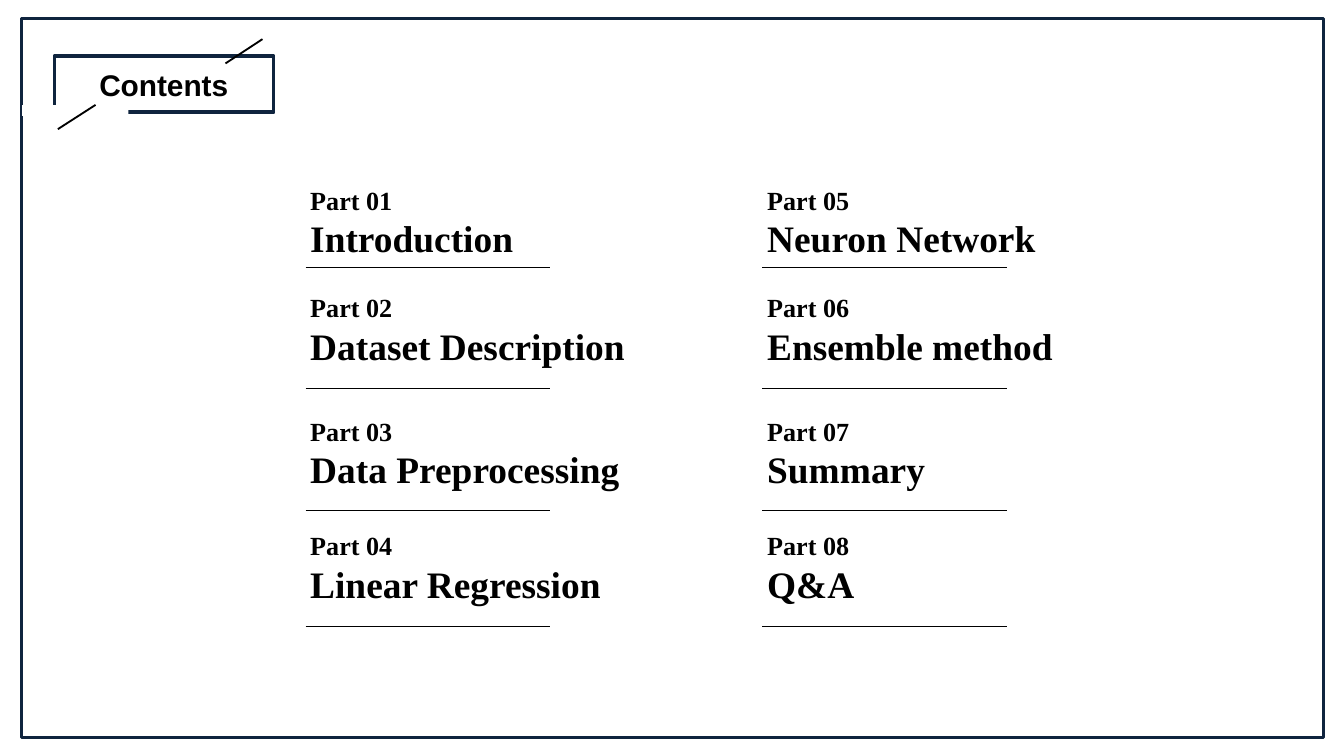
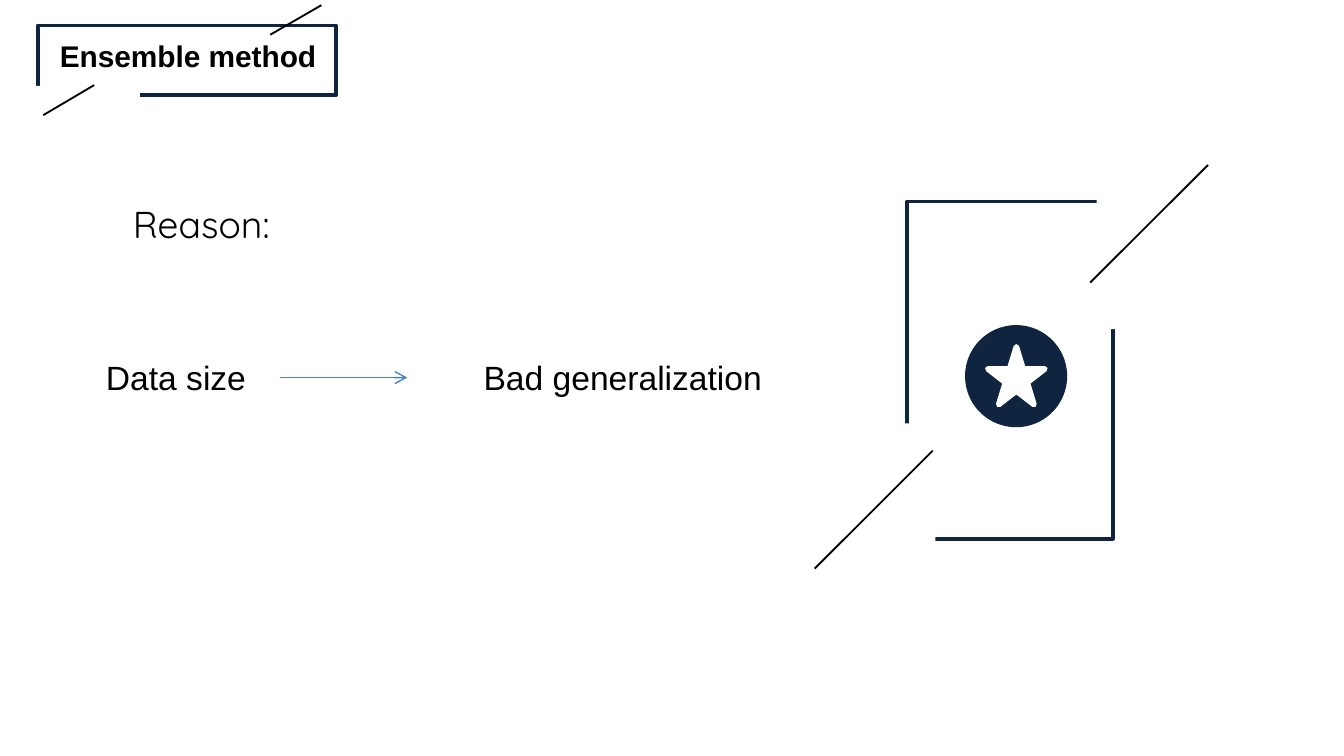
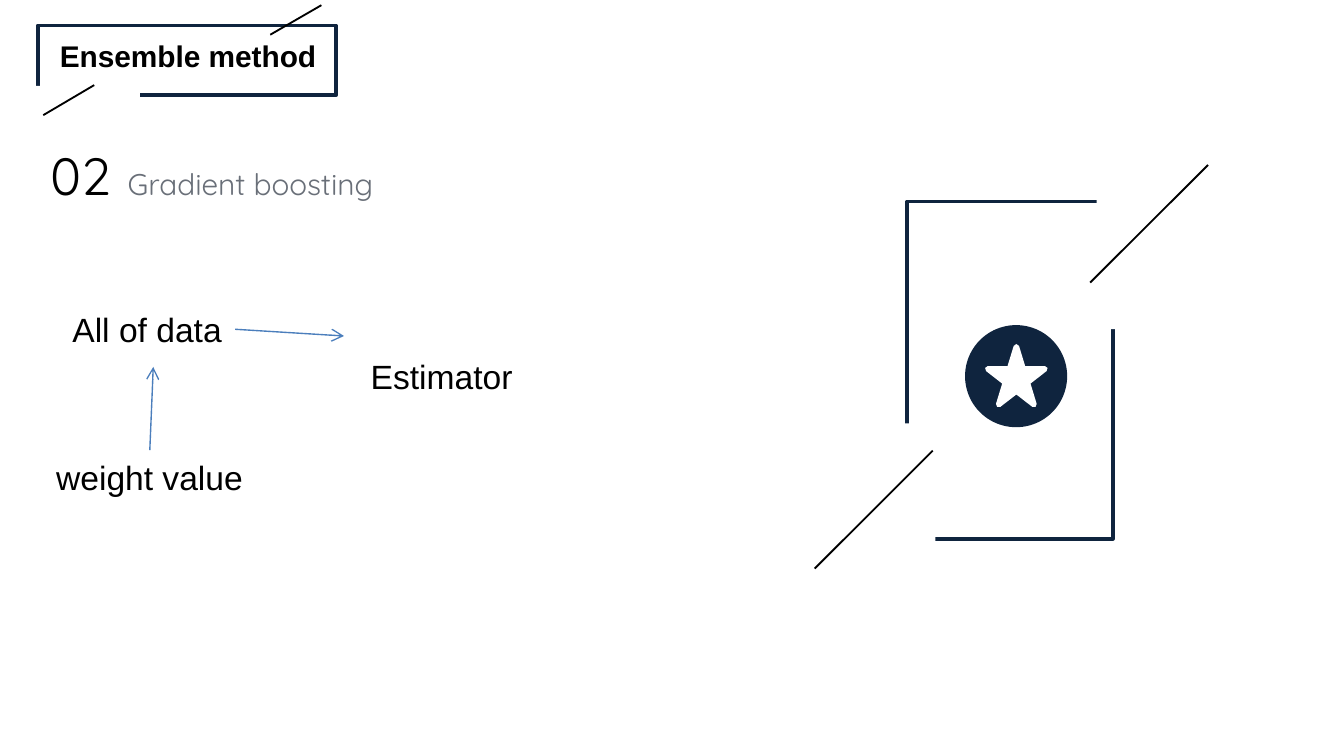
from lxml import etree
from pptx import Presentation
from pptx.dml.color import RGBColor
from pptx.enum.shapes import MSO_CONNECTOR, MSO_SHAPE
from pptx.enum.text import MSO_AUTO_SIZE, PP_ALIGN
from pptx.oxml.ns import qn
from pptx.util import Pt

RECT, OVAL, STAR = MSO_SHAPE.RECTANGLE, MSO_SHAPE.OVAL, MSO_SHAPE.STAR_5_POINT
STRAIGHT = MSO_CONNECTOR.STRAIGHT
GROW, CENTER = MSO_AUTO_SIZE.SHAPE_TO_FIT_TEXT, PP_ALIGN.CENTER
LEFT, TOP, RIGHT = 1, 0, 3
NAVY, BLACK, WHITE, BLUE, GRAY = "0F243E", "000000", "FFFFFF", "4B7EBC", "696F78"
rgb = RGBColor.from_string

HEAD = dict(name="Arial", size=Pt(16), bold=True)
PART = dict(name="Times New Roman", size=Pt(14), bold=True)
TOPIC = PART | dict(size=Pt(20))
BODY = dict(name="Arial", size=Pt(18))
REASON = dict(name="Quicksand", size=Pt(20))
NUMBER = REASON | dict(size=Pt(28))
METHOD = REASON | dict(size=Pt(16))


def label(slide, box, rows, wrap=True, color=BLACK):
    """Add a text box with one paragraph per (text, format) row."""
    shape = slide.shapes.add_textbox(*map(Pt, box))
    frame = shape.text_frame
    frame.word_wrap, frame.auto_size = wrap, GROW
    for i, (words, style) in enumerate(rows):
        para = frame.add_paragraph() if i else frame.paragraphs[0]
        run = para.add_run()
        run.text = words
        run.font.color.rgb = rgb(color)
        for key, value in style.items():
            setattr(run.font, key, value)
    return shape


def stroke(slide, ends, width, color=BLACK):
    """Add a straight line without a shadow."""
    line = slide.shapes.add_connector(STRAIGHT, *map(Pt, ends))
    line.line.width = Pt(width)
    line.line.color.rgb = rgb(color)
    etree.SubElement(line.get_or_add_ln().getparent(), qn("a:effectLst"))
    return line


prs = Presentation()
prs.slide_width, prs.slide_height = Pt(720), Pt(405)
contents, reason, boost = [prs.slides.add_slide(prs.slide_layouts[6]) for _ in range(3)]
methods = (reason, boost)

# Shapes: slides, kind, box, fill, line colour, line width
shapes = [
    ((contents,), RECT, (11.5, 10, 697.7, 385.2), None, NAVY, 1.5),
    ((contents,), RECT, (29.2, 30, 117.4, 30.2), None, NAVY, 2),
    ((contents,), RECT, (11.9, 56.3, 56.9, 5.8), WHITE, None, 0),
    (methods, RECT, (20.2, 13.7, 159.8, 37.4), None, NAVY, 2),
    (methods, RECT, (-2.9, 46, 77.8, 7.2), WHITE, None, 0),
    (methods, RECT, (486, 108, 110.2, 180.7), None, NAVY, 2),
    (methods, RECT, (587.5, 88.6, 22.3, 87.8), WHITE, None, 0),
    (methods, RECT, (478.8, 226.8, 22.3, 87.8), WHITE, None, 0),
    (methods, OVAL, (517, 174.2, 54.7, 54.7), NAVY, None, 0),
    (methods, STAR, (529.2, 185.8, 30.6, 31), WHITE, WHITE, 3),
]
for pages, kind, box, fill, edge, width in shapes:
    for slide in pages:
        shape = slide.shapes.add_shape(kind, *map(Pt, box))
        shape.shadow.inherit = False
        if fill:
            shape.fill.solid()
            shape.fill.fore_color.rgb = rgb(fill)
        else:
            shape.fill.background()
        if edge:
            shape.line.color.rgb = rgb(edge)
            shape.line.width = Pt(width)
        else:
            shape.line.fill.background()

# Slanted lines across the frames
slants = [
    ((contents,), (140.6, 21, 120.8, 34)),
    ((contents,), (51.2, 56.2, 31, 69.2)),
    (methods, (172.2, 2.8, 144.8, 18.6)),
    (methods, (50.5, 45.6, 23.2, 61.7)),
    (methods, (647.2, 88.4, 584, 151.4)),
    (methods, (499.7, 241.4, 436.5, 304.6)),
]
for pages, ends in slants:
    for slide in pages:
        stroke(slide, ends, 1)

# Titles
titles = [
    (contents, (8.6, 32.4, 158.4, 26.6), "Contents"),
    (reason, (-7.2, 16.6, 216, 26.6), "Ensemble method"),
    (boost, (-7.2, 16.6, 216, 26.6), "Ensemble method"),
]
for slide, box, words in titles:
    title = label(slide, box, [(words, HEAD)])
    title.text_frame.paragraphs[0].alignment = CENTER

# Contents in two columns, each part with a rule below
topics = [
    "Introduction", "Dataset Description", "Data Preprocessing", "Linear Regression",
    "Neuron Network", "Ensemble method", "Summary", "Q&A",
]
rows = [(95, 143.3), (152.6, 208.1), (218.9, 273.6), (280.1, 335.5)]
for i, topic in enumerate(topics):
    col, row = divmod(i, len(rows))
    x = 159.1 + 244.8 * col
    y, base = rows[row]
    label(contents, (x, y, 242, 48.2), [(f"Part {i + 1:02}", PART), (topic, TOPIC)])
    stroke(contents, (x + 4.6, base, x + 135.6, base), 0.75)

# Reason
label(reason, (64.1, 104.4, 116.6, 31.7), [("Reason:", REASON)])
size = label(reason, (49.7, 187.9, 100.1, 28.8), [("Data size", BODY)])
label(reason, (252, 187.9, 163.4, 28.8), [("Bad generalization", BODY)], wrap=False)

# Gradient boosting
method = label(boost, (68.4, 79.2, 141.1, 28.8), [("Gradient boosting", METHOD)], False, GRAY)
frame = method.text_frame
for side in ("left", "top", "right", "bottom"):
    setattr(frame, f"margin_{side}", 0)
frame.paragraphs[0].line_spacing = 1.5
label(boost, (20.2, 73.4, 53.3, 41), [("02", NUMBER)])
data = label(boost, (31.7, 162, 94.3, 28.8), [("All of data", BODY)], wrap=False)
label(boost, (191.5, 187.2, 90.7, 28.8), [("Estimator", BODY)], wrap=False)
weight = label(boost, (23, 241.2, 114.5, 28.8), [("weight value", BODY)], wrap=False)

# Arrows from a side of a label to a point
arrows = [
    (reason, size, RIGHT, (218.2, 202.3)),
    (boost, data, RIGHT, (184.3, 180)),
    (boost, weight, TOP, (82.1, 196.6)),
]
for slide, source, side, tip in arrows:
    arrow = stroke(slide, tip + tip, 0.75, BLUE)
    arrow.begin_connect(source, side)
    etree.SubElement(arrow.get_or_add_ln(), qn("a:tailEnd"), type="arrow")

prs.save("out.pptx")
